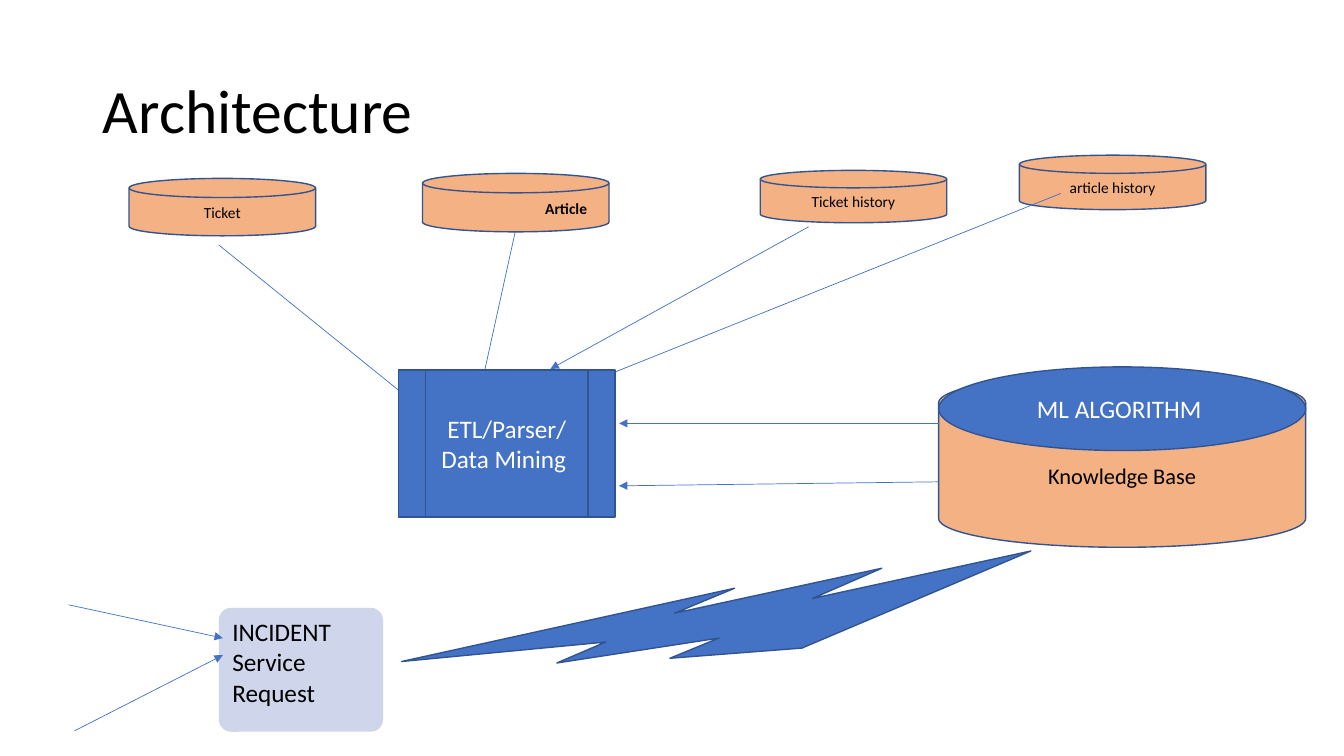
import pptx
import pptx.util
import pptx.dml.color
import pptx.enum.shapes
import pptx.enum.text
import pptx.oxml
import pptx.oxml.ns

Inches = pptx.util.Inches
Pt = pptx.util.Pt
RGBColor = pptx.dml.color.RGBColor
Kind = pptx.enum.shapes.MSO_SHAPE
Link = pptx.enum.shapes.MSO_CONNECTOR
Align = pptx.enum.text.PP_ALIGN
Anchor = pptx.enum.text.MSO_ANCHOR
Fit = pptx.enum.text.MSO_AUTO_SIZE

BLACK = RGBColor(0x00, 0x00, 0x00)
WHITE = RGBColor(0xFF, 0xFF, 0xFF)
BLUE = RGBColor(0x44, 0x72, 0xC4)
NAVY = RGBColor(0x32, 0x54, 0x91)
ORANGE = RGBColor(0xF4, 0xB1, 0x83)
PALE = RGBColor(0xCF, 0xD5, 0xEA)

STORE_WIDTH = 1.85
STORE_TEXT = {"line_spacing": 1.07, "space_after": Pt(8)}
BASE_TEXT = {**STORE_TEXT, "space_before": Pt(10)}

deck = pptx.Presentation()
deck.slide_width = Inches(13.33)
deck.slide_height = Inches(7.5)
slide = deck.slides.add_slide(deck.slide_layouts[5])


def write(shape, text, size, color, align=Align.CENTER, anchor=Anchor.MIDDLE, **style):
    frame = shape.text_frame
    frame.text = text
    layout = {"word_wrap": True, "auto_size": Fit.NONE, "vertical_anchor": anchor}
    for name, value in layout.items():
        setattr(frame, name, value)
    for para in frame.paragraphs:
        for name, value in {"alignment": align, **style}.items():
            setattr(para, name, value)
        font = para.runs[0].font
        font.color.rgb = color
        for name, value in {"name": "Calibri", "size": Pt(size)}.items():
            setattr(font, name, value)


def draw(kind, box, fill):
    shape = slide.shapes.add_shape(kind, *map(Inches, box))
    shape.shadow.inherit = False
    shape.fill.solid()
    shape.fill.fore_color.rgb = fill
    shape.line.color.rgb = NAVY
    shape.line.width = Pt(1)
    return shape


title = slide.shapes.title
place = {"left": 0.92, "top": 0.4, "width": 11.5, "height": 1.45}
for name, value in place.items():
    setattr(title, name, Inches(value))
write(title, "Architecture ", 44, BLACK, Align.LEFT, line_spacing=0.9)

base = draw(Kind.FLOWCHART_MAGNETIC_DISK, (9.31, 3.71, 3.64, 1.72), ORANGE)
write(base, "Knowledge Base", 16, BLACK, **BASE_TEXT)

stores = {}
for label, left, top, height in [
    ("Ticket", 1.28, 1.77, 0.57),
    ("Article", 4.19, 1.72, 0.58),
    ("Ticket history", 7.54, 1.69, 0.52),
    ("article history", 10.11, 1.54, 0.54),
]:
    box = (left, top, STORE_WIDTH, height)
    stores[label] = draw(Kind.FLOWCHART_MAGNETIC_DISK, box, ORANGE)
    write(stores[label], label, 11, BLACK, **STORE_TEXT)

nested = stores["Article"].text_frame.paragraphs[0]
nested.level = 2
nested.runs[0].font.bold = True
for name, value in {"marL": Inches(1), "indent": 0}.items():
    nested._p.get_or_add_pPr().set(name, str(value))

request = draw(Kind.ROUNDED_RECTANGLE, (2.17, 6.03, 1.63, 1.23), PALE)
request.line.fill.background()
request.adjustments[0] = 0.1
write(request, "INCIDENT\nService Request", 18, BLACK, Align.LEFT, Anchor.TOP)

store_links = [
    (2.17, 2.43, 4.36, 4.2),
    (10.52, 1.92, 4.53, 4.32),
    (8.02, 2.25, 5.46, 3.66),
    (5.11, 2.3, 4.69, 4.21),
]
request_links = [(0.68, 6, 2.21, 6.33), (0.74, 7.25, 2.21, 6.5)]
base_links = [(9.31, 4.78, 6.14, 4.82), (9.31, 4.2, 6.14, 4.2)]

space = pptx.oxml.ns.nsdecls("a")
for ends in store_links + request_links + base_links:
    arrow = slide.shapes.add_connector(Link.STRAIGHT, *map(Inches, ends))
    arrow.line.color.rgb = BLUE
    arrow.line.width = Pt(0.5)
    props = arrow._element.spPr
    stroke = props.find(pptx.oxml.ns.qn("a:ln"))
    stroke.append(pptx.oxml.parse_xml(f'<a:tailEnd {space} type="triangle"/>'))
    props.append(pptx.oxml.parse_xml(f"<a:effectLst {space}/>"))

for kind, text, box in [
    (Kind.FLOWCHART_PREDEFINED_PROCESS, "ETL/Parser/Data Mining ", (3.95, 3.67, 2.15, 1.46)),
    (Kind.FLOWCHART_CONNECTOR, "ML ALGORITHM ", (9.31, 3.64, 3.64, 0.83)),
]:
    write(draw(kind, box, BLUE), text, 18, WHITE)

bolt = draw(Kind.LIGHTNING_BOLT, (4, 5.55, 6.27, 1.12), BLUE)
bolt.rotation = 161.7

deck.save("out.pptx")
